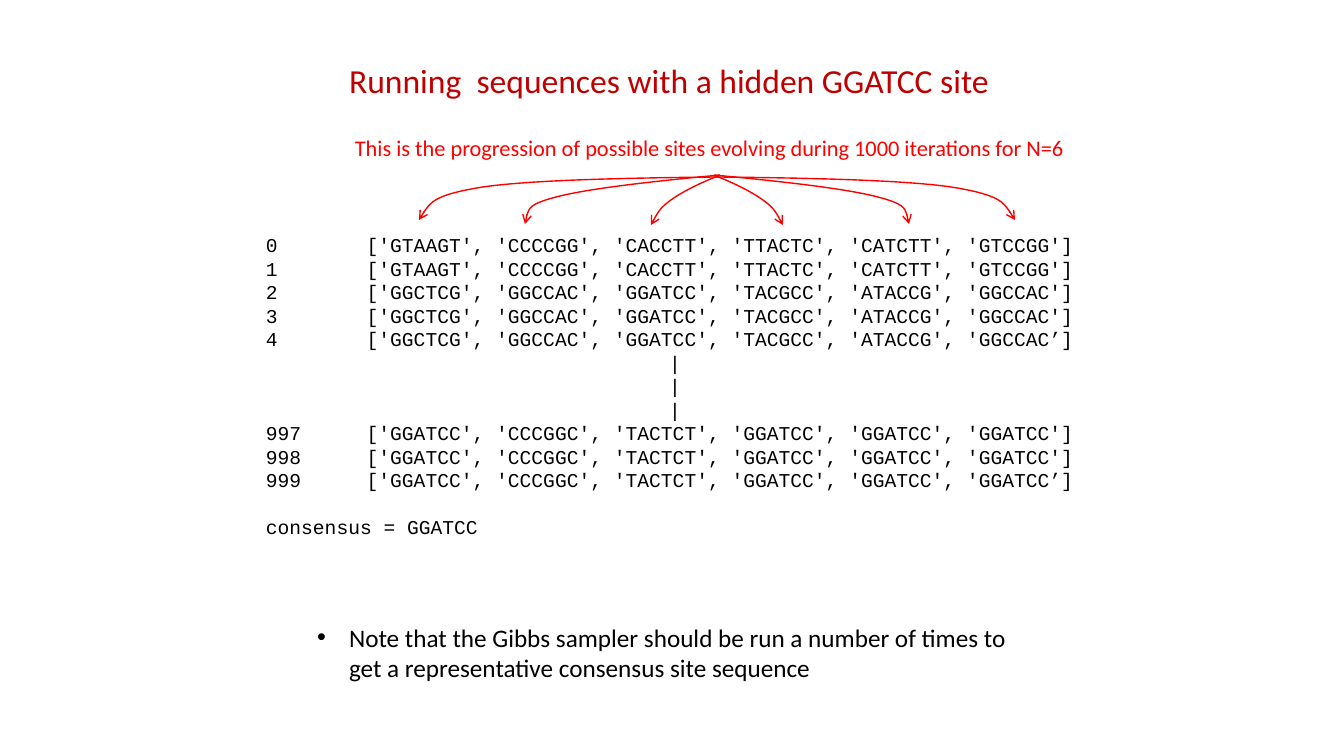
from dataclasses import dataclass

from lxml import etree
from pptx import Presentation
from pptx.dml.color import RGBColor
from pptx.enum.text import MSO_ANCHOR, MSO_AUTO_SIZE, PP_ALIGN
from pptx.oxml.ns import qn
from pptx.util import Emu, Pt

TOP, LEFT, FIXED = MSO_ANCHOR.TOP, PP_ALIGN.LEFT, MSO_AUTO_SIZE.NONE
PX = 914400 / 100.8  # EMU per pixel


@dataclass(frozen=True)
class Theme:
    sans: str = "Calibri"
    mono: str = "Courier New"
    text: str = "000000"
    title: str = "C00000"
    accent: str = "FF0000"
    title_size: int = 24
    note_size: int = 18
    caption_size: int = 16
    code_size: int = 14
    code_line: float = 16.8
    arrow_width: int = 1


def emu(pixels):
    return Emu(round(pixels * PX))


class SlideBuilder:
    def __init__(self, slide, theme):
        self.slide, self.theme = slide, theme

    def fill_text(self, shape, box, lines, font, size, color):
        shape.left, shape.top, shape.width, shape.height = map(emu, box)
        frame = shape.text_frame
        frame.text = "\n".join(lines)
        frame.word_wrap, frame.auto_size, frame.vertical_anchor = True, FIXED, TOP
        for paragraph in frame.paragraphs:
            paragraph.alignment = LEFT
            paragraph.space_before = Pt(0)
            for run in paragraph.runs:
                run.font.name, run.font.size = font, Pt(size)
                run.font.color.rgb = RGBColor.from_string(color)
        return frame

    def title(self, box, text):
        self.fill_text(self.slide.shapes.title, box, [text],
                       self.theme.sans, self.theme.title_size, self.theme.title)

    def bullets(self, box, items, indent):
        frame = self.fill_text(self.slide.placeholders[1], box, items,
                               self.theme.sans, self.theme.note_size, self.theme.text)
        for paragraph in frame.paragraphs:
            properties = paragraph._p.get_or_add_pPr()
            properties.set("marL", str(emu(indent)))
            properties.set("indent", str(-emu(indent)))
            etree.SubElement(properties, qn("a:buChar")).set("char", "•")

    def text(self, box, lines, font, size, color):
        shape = self.slide.shapes.add_textbox(0, 0, 0, 0)
        return self.fill_text(shape, box, lines, font, size, color)

    def listing(self, box, lines, tab):
        frame = self.text(box, lines, self.theme.mono, self.theme.code_size, self.theme.text)
        for paragraph in frame.paragraphs:
            paragraph._p.get_or_add_pPr().set("defTabSz", str(emu(tab)))
        frame.paragraphs[-1].space_before = Pt(self.theme.code_line)

    def curved_arrow(self, group, points):
        start, *rest = [(emu(x), emu(y)) for x, y in points]
        builder = group.shapes.build_freeform(*start)
        builder.add_line_segments(rest, close=False)
        arrow = builder.convert_to_shape()
        arrow.shadow.inherit = False
        arrow.fill.background()
        arrow.line.color.rgb = RGBColor.from_string(self.theme.accent)
        arrow.line.width = Pt(self.theme.arrow_width)
        properties = arrow.element.spPr
        # Every three points become one cubic segment
        segments = list(properties.iter(qn("a:lnTo")))
        for first in range(0, len(segments), 3):
            cubic = etree.SubElement(segments[first].getparent(), qn("a:cubicBezTo"))
            for segment in segments[first:first + 3]:
                cubic.append(segment[0])
                segment.getparent().remove(segment)
        line = properties.find(qn("a:ln"))
        etree.SubElement(line, qn("a:tailEnd")).set("type", "arrow")


presentation = Presentation()
presentation.slide_width, presentation.slide_height = emu(1344), emu(756)
theme = Theme()
page = SlideBuilder(presentation.slides.add_slide(presentation.slide_layouts[1]), theme)

# Heading and caption
page.title((339, 55, 667, 50), "Running  sequences with a hidden GGATCC site")
page.text((345, 129, 739, 37),
          ["This is the progression of possible sites evolving during 1000 iterations for N=6"],
          theme.sans, theme.caption_size, theme.accent)

# Sampler output: iteration, sites, closing quote
INITIAL = "GTAAGT CCCCGG CACCTT TTACTC CATCTT GTCCGG"
EARLY = "GGCTCG GGCCAC GGATCC TACGCC ATACCG GGCCAC"
FINAL = "GGATCC CCCGGC TACTCT GGATCC GGATCC GGATCC"


def output_row(iteration, sites, closing="'"):
    joined = "', '".join(sites.split())
    return f"{iteration} \t['{joined}{closing}]"


output = [
    output_row(0, INITIAL), output_row(1, INITIAL),
    output_row(2, EARLY), output_row(3, EARLY), output_row(4, EARLY, "’"),
    *["\t\t\t\t|"] * 3,
    output_row(997, FINAL), output_row(998, FINAL), output_row(999, FINAL, "’"),
    "consensus = GGATCC",
]
page.listing((256, 228, 833, 350), output, tab=100.8)

# Arrows from the caption to each site column, mirrored about the centre
MIRROR_SUM = 1434
left_curves = [
    [(719, 177), (625, 178), (532, 180), (483, 187), (433, 195), (426, 208), (419, 220)],
    [(720, 175), (656, 181), (593, 188), (560, 196), (528, 204), (526, 214), (525, 224)],
    [(718, 176), (700, 183), (682, 192), (671, 200), (660, 208), (655, 217), (651, 225)],
]
right_curves = [[(MIRROR_SUM - x, y) for x, y in curve] for curve in left_curves]
for curves in (left_curves, right_curves):
    fan = page.slide.shapes.add_group_shape()
    for curve in curves:
        page.curved_arrow(fan, curve)

# Closing note
page.bullets((307, 617, 744, 72),
             ["Note that the Gibbs sampler should be run a number of times to "
              "get a representative consensus site sequence"], indent=32)

presentation.save("out.pptx")
